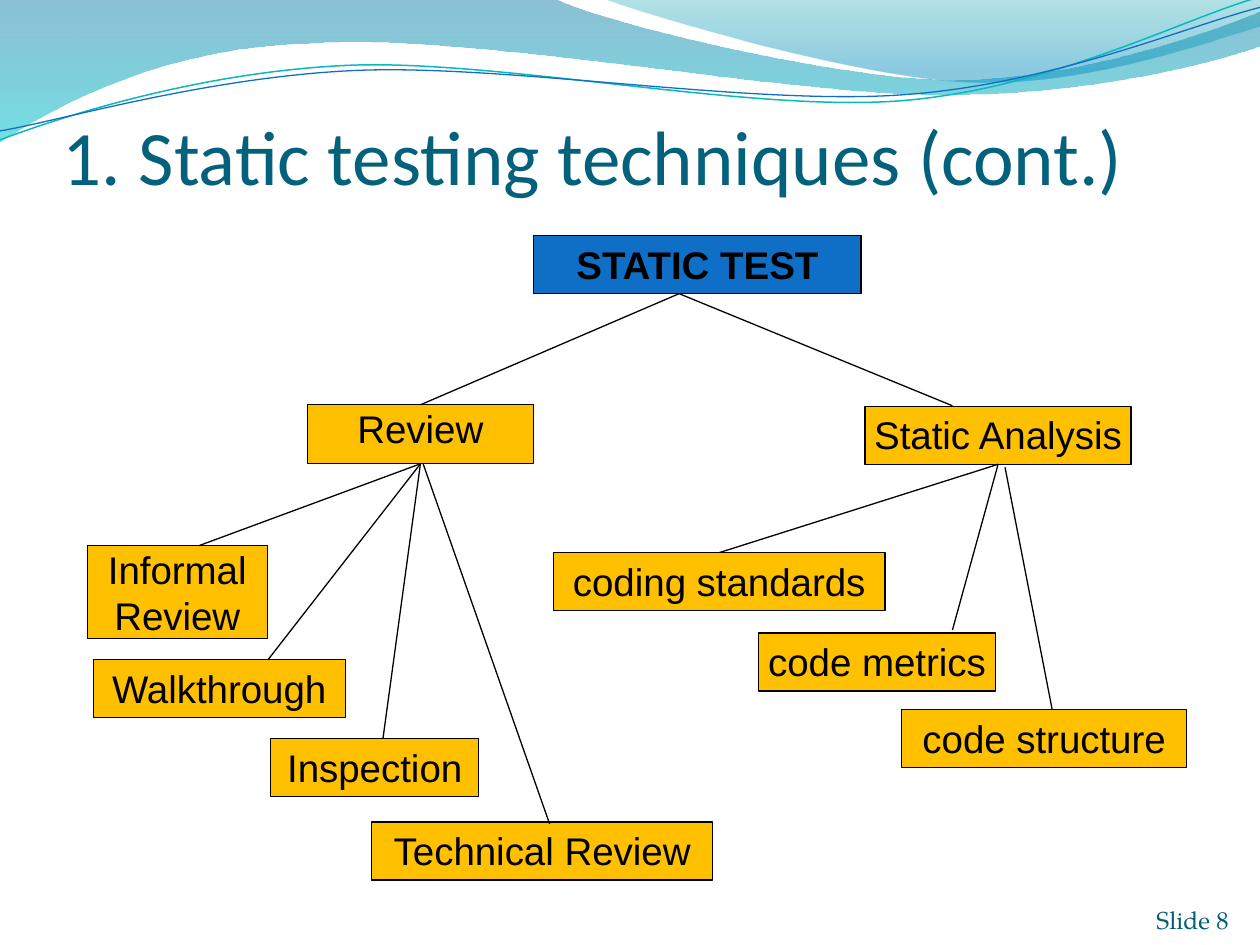
"""Build the slide on static testing techniques."""
from typing import NamedTuple, Optional

from lxml.etree import SubElement
from pptx import Presentation
from pptx.dml.color import RGBColor
from pptx.enum.shapes import MSO_CONNECTOR as Link, MSO_SHAPE as Kind
from pptx.enum.text import MSO_ANCHOR as Anchor, PP_ALIGN as Align
from pptx.oxml.ns import qn
from pptx.util import Cm, Pt

BLACK, GOLD, BLUE = "000000", "FFC000", "0F6FC6"
TOP, BOTTOM = 0, 2


class Box(NamedTuple):
    text: str
    left: float
    top: float
    width: float
    height: float = 1.17
    inset: float = 0.1
    fill: str = GOLD
    bold: bool = False


class Line(NamedTuple):
    start: tuple
    end: tuple
    source: Optional[str] = None
    target: Optional[str] = None


class Wave(NamedTuple):
    start: tuple
    legs: list
    stops: Optional[list] = None
    line: str = BLACK
    weight: float = 0
    turn: float = 0


class Label(NamedTuple):
    text: str
    left: float
    top: float
    width: float
    height: float
    font: str
    size: int
    color: str
    align: Align


WAVES = [
    Wave((0, 0), [
        (11.18, -0.03),
        (12.09, 0.43, 16.87, 1.6, 19.25, 1.6),
        (21.67, 1.6, 24.33, 0.66, 25.4, 0.23),
        (25.43, 0.91),
        (24.97, 1.12, 22.1, 1.93, 18.95, 1.91),
        (15.8, 1.91, 9.7, 0.71, 6.53, 0.86),
        (3.28, 0.91, 1.17, 2.11, -0.03, 2.87),
    ], [(0, "0074A1", 45), (1, "00C6CF", 55)]),
    Wave((12.17, -0.03), [
        (12.93, 0.28, 17.32, 1.57, 19.53, 1.65),
        (21.87, 1.75, 24.41, 0.81, 25.4, 0.53),
        (25.4, 0),
    ], [(0, "00A1A9", 30), (0.8, "008BBF", 45)]),
    Wave((-0.05, 2.22), [
        (1.19, 1.82, 4.02, 1.04, 7.05, 1.05),
        (10.05, 1.07, 15.02, 2.37, 18.08, 2.29),
        (21.14, 2.2, 23.87, 0.91, 25.41, 0.55),
    ], line="0AB8BF", weight=0.85, turn=357.3),
    Wave((-0.04, 2.04), [
        (1.16, 1.9, 4.18, 1.15, 7.2, 1.16),
        (10.25, 1.18, 15.13, 2.25, 18.18, 2.17),
        (21.21, 2.1, 23.93, 1.06, 25.45, 0.75),
    ], line=BLUE, weight=0.75, turn=357.3),
]

LABELS = [
    Label("1. Static testing techniques (cont.)", 1.27, 0.87, 22.86, 3.18,
          "Calibri", 44, "04617B", Align.LEFT),
    Label("Slide 8", 22.66, 17.82, 2.11, 1.02,
          "TeX Gyre Pagella", 14, "045D75", Align.RIGHT),
]

BOXES = [
    Box("STATIC TEST", 10.76, 4.75, 6.6, fill=BLUE, bold=True),
    Box("Review", 6.2, 8.16, 4.55, 1.19, inset=0),
    Box("Static Analysis", 17.44, 8.19, 5.36),
    Box("Informal Review", 1.76, 11, 3.63, 1.88, inset=0),
    Box("Walkthrough", 1.88, 13.3, 5.08),
    Box("Inspection", 5.46, 14.89, 4.19),
    Box("Technical Review", 7.49, 16.57, 6.88),
    Box("coding standards", 11.16, 11.14, 6.68),
    Box("code metrics", 15.29, 12.76, 4.78),
    Box("code structure", 18.18, 14.31, 5.74),
]

ROOT, REVIEW, STATIC = (13.69, 5.92), (8.48, 9.35), (20.12, 9.35)
LINES = [
    Line(ROOT, (8.48, 8.16), target="Review"),
    Line(ROOT, (19.2, 8.18)),
    Line(REVIEW, (4.01, 11), "Review"),
    Line(REVIEW, (5.41, 13.29), "Review"),
    Line(REVIEW, (7.72, 14.89), "Review"),
    Line((8.53, 9.35), (11.08, 16.61)),
    Line(STATIC, (14.5, 11.14), "Static Analysis", "coding standards"),
    Line(STATIC, (19.2, 12.7), "Static Analysis"),
    Line((20.26, 9.42), (21.21, 14.3)),
]


def rgb(code: str) -> RGBColor:
    return RGBColor.from_string(code)


def bend(shape, legs: list) -> None:
    parts = iter(list(shape._element.iter(qn("a:lnTo"))))
    for leg in legs:
        first = next(parts)
        if len(leg) == 6:
            curve = first.makeelement(qn("a:cubicBezTo"))
            first.addprevious(curve)
            for part in (first, next(parts), next(parts)):
                curve.append(part[0])
                part.getparent().remove(part)


def add_wave(slide, wave: Wave) -> None:
    x, y = wave.start
    points = [(Cm(leg[i]), Cm(leg[i + 1]))
              for leg in wave.legs for i in range(0, len(leg), 2)]
    pen = slide.shapes.build_freeform(Cm(x), Cm(y))
    pen.add_line_segments(points, close=bool(wave.stops))
    shape = pen.convert_to_shape()
    bend(shape, wave.legs)
    shape.rotation = wave.turn
    shape.shadow.inherit = False
    if not wave.stops:
        shape.fill.background()
        shape.line.color.rgb = rgb(wave.line)
        shape.line.width = Pt(wave.weight)
        return
    shape.line.fill.background()
    shape.fill.gradient()
    shape.fill.gradient_angle = 270
    for stop, (place, color, _) in zip(shape.fill.gradient_stops, wave.stops):
        stop.position = place
        stop.color.rgb = rgb(color)
    tints = shape._element.iter(qn("a:srgbClr"))
    for tint, (_, _, alpha) in zip(list(tints), wave.stops):
        SubElement(tint, qn("a:alpha"), val=str(alpha * 1000))


def set_text(frame, text: str, font: str, size: int, color: str,
             align: Align, bold: bool = False) -> None:
    frame.word_wrap = True
    para = frame.paragraphs[0]
    para.text = text
    para.alignment = align
    face = para.runs[0].font
    face.name, face.size, face.bold = font, Pt(size), bold
    face.color.rgb = rgb(color)


def set_inset(frame, inset: float) -> None:
    frame.margin_left = frame.margin_right = Cm(inset)
    frame.margin_top = frame.margin_bottom = Cm(inset)


def add_label(slide, label: Label) -> None:
    area = map(Cm, (label.left, label.top, label.width, label.height))
    frame = slide.shapes.add_textbox(*area).text_frame
    set_inset(frame, 0)
    frame.vertical_anchor = Anchor.BOTTOM
    set_text(frame, label.text, label.font, label.size, label.color, label.align)


def add_box(slide, box: Box):
    area = map(Cm, (box.left, box.top, box.width, box.height))
    shape = slide.shapes.add_shape(Kind.RECTANGLE, *area)
    shape.shadow.inherit = False
    shape.fill.solid()
    shape.fill.fore_color.rgb = rgb(box.fill)
    shape.line.color.rgb = rgb(BLACK)
    shape.line.width = Pt(0.75)
    frame = shape.text_frame
    set_inset(frame, box.inset)
    frame.vertical_anchor = Anchor.TOP
    set_text(frame, box.text, "Arial", 22, BLACK, Align.CENTER, box.bold)
    return shape


def add_line(slide, line: Line, nodes: dict) -> None:
    link = slide.shapes.add_connector(Link.STRAIGHT, *map(Cm, line.start + line.end))
    if line.source:
        link.begin_connect(nodes[line.source], BOTTOM)
    if line.target:
        link.end_connect(nodes[line.target], TOP)
    link.line.color.rgb = rgb(BLACK)
    link.line.width = Pt(0.75)
    SubElement(link._element.spPr, qn("a:effectLst"))


def main() -> None:
    deck = Presentation()
    deck.slide_width, deck.slide_height = Cm(25.4), Cm(19.05)
    slide = deck.slides.add_slide(deck.slide_layouts[6])
    for wave in WAVES:
        add_wave(slide, wave)
    for label in LABELS:
        add_label(slide, label)
    nodes = {box.text: add_box(slide, box) for box in BOXES}
    for line in LINES:
        add_line(slide, line, nodes)
    deck.save("out.pptx")


if __name__ == "__main__":
    main()
